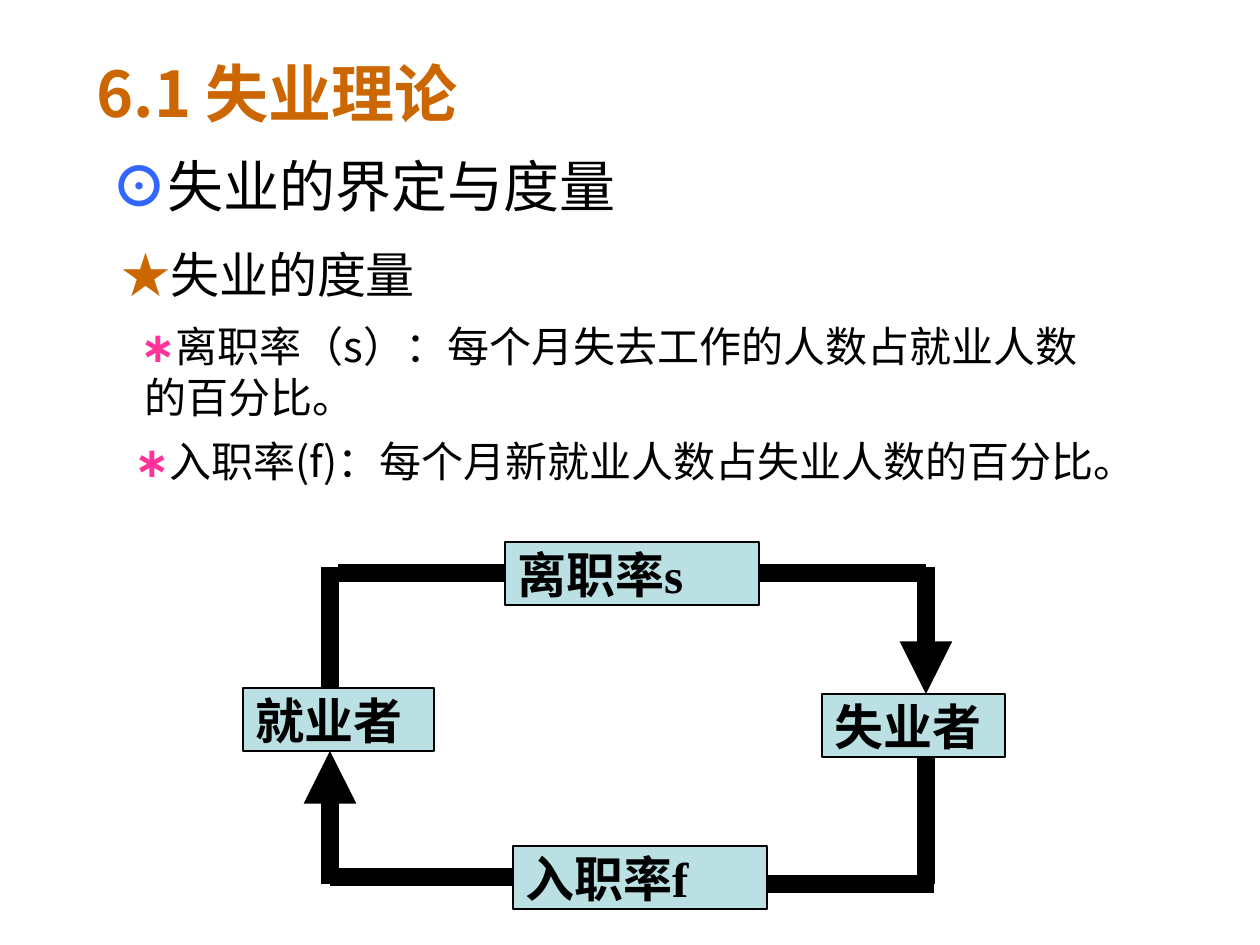
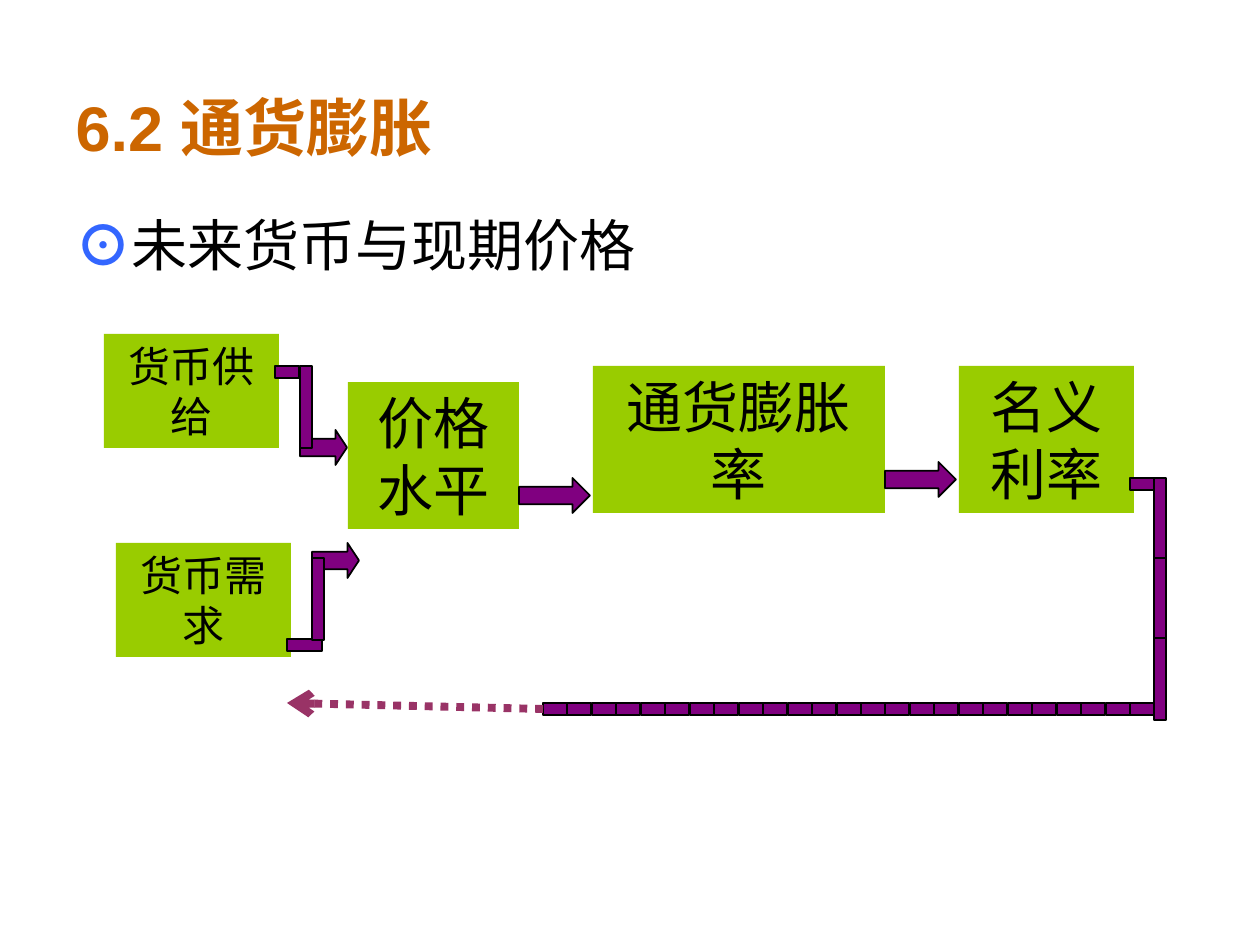
from lxml import etree
from pptx import Presentation, util as u
from pptx.dml.color import RGBColor
from pptx.enum import dml, shapes, text
from pptx.oxml import ns

PX_PER_INCH = 126
SANS, LATIN, SERIF = "Noto Sans CJK SC", "Arial", "Times New Roman"
BLACK, ORANGE, BLUE, PINK = "000000", "CC6600", "3366FF", "FF3399"
PALE_TEAL, LIME, PURPLE, PLUM = "BBE0E3", "99CC00", "800080", "993366"
HANG = 48
BAR = 12
BAR_LENGTH = 82
TITLE_FORMAT = dict(size=36, bold=True, color=ORANGE)
RECT = shapes.MSO_SHAPE.RECTANGLE
ARROW = shapes.MSO_SHAPE.RIGHT_ARROW


def px(length):
    return u.Emu(round(length * 914400 / PX_PER_INCH))


def rgb(value):
    return RGBColor.from_string(value)


def format_run(run, size, color, name=SANS, bold=False):
    values = dict(size=u.Pt(size), name=name, bold=bold)
    for attribute, value in values.items():
        setattr(run.font, attribute, value)
    run.font.color.rgb = rgb(color)


def add_run(paragraph, wording, **run_format):
    run = paragraph.add_run()
    run.text = wording
    format_run(run, **run_format)


def place(shape, left, top, width, height):
    for side, length in dict(left=left, top=top, width=width, height=height).items():
        setattr(shape, side, px(length))


def add_titled_slide(deck, wording, box, font):
    slide = deck.slides.add_slide(deck.slide_layouts[5])
    title = slide.shapes.title
    place(title, *box)
    title.text_frame.auto_size = text.MSO_AUTO_SIZE.NONE
    title.text_frame.vertical_anchor = text.MSO_ANCHOR.MIDDLE
    paragraph = title.text_frame.paragraphs[0]
    paragraph.alignment = text.PP_ALIGN.LEFT
    add_run(paragraph, wording, name=font, **TITLE_FORMAT)
    return slide


def add_outline(slide, box, points):
    """Each point is (first-line indent, space before, size, mark, mark colour, bold mark, wording)."""
    frame = slide.shapes.add_textbox(*map(px, box)).text_frame
    frame.word_wrap = True
    for number, (indent, before, size, mark, color, bold, wording) in enumerate(points):
        paragraph = frame.add_paragraph() if number else frame.paragraphs[0]
        paragraph.space_before = u.Pt(before)
        properties = paragraph._p.get_or_add_pPr()
        properties.set("marL", str(px(HANG)))
        properties.set("indent", str(px(indent)))
        add_run(paragraph, mark, size=size, color=color, bold=bold)
        add_run(paragraph, wording, size=size, color=BLACK)


def add_block(slide, kind, box, fill, outline=BLACK):
    block = slide.shapes.add_shape(kind, *map(px, box))
    block.shadow.inherit = False
    block.fill.solid()
    block.fill.fore_color.rgb = rgb(fill)
    if outline:
        block.line.color.rgb = rgb(outline)
        block.line.width = u.Pt(1)
    else:
        block.line.fill.background()
    return block


def add_label(block, wording, size, anchor, alignment, bold=False):
    frame = block.text_frame
    frame.word_wrap = True
    frame.vertical_anchor = anchor
    paragraph = frame.paragraphs[0]
    paragraph.alignment = alignment
    add_run(paragraph, wording, size=size, color=BLACK, name=SERIF, bold=bold)


def add_line(slide, start, end, color, width, head=None, dash=None):
    line = slide.shapes.add_connector(shapes.MSO_CONNECTOR.STRAIGHT, *map(px, start + end))
    line.line.color.rgb = rgb(color)
    line.line.width = u.Pt(width)
    if dash:
        line.line.dash_style = dash
    if head:
        etree.SubElement(line.line._get_or_add_ln(), ns.qn("a:tailEnd"), type=head)
    etree.SubElement(line._element.spPr, ns.qn("a:effectLst"))


def add_bar(slide, left, top, width=24, height=BAR):
    add_block(slide, RECT, (left, top, width, height), PURPLE)


def add_upright(slide, left, top):
    add_bar(slide, left, top, BAR, BAR_LENGTH)


def add_flow_arrow(slide, left, top, width, head_ratio):
    arrow = add_block(slide, ARROW, (left, top, width, 35), PURPLE)
    arrow.adjustments[1] = head_ratio


def build_unemployment(deck):
    slide = add_titled_slide(deck, "6.1 失业理论", (84, 45, 1008, 95), SANS)
    add_outline(slide, (84, 145, 1040, 745), [
        (-33, 0, 32, "⊙", BLUE, True, "失业的界定与度量"),
        (-23, 15, 28, "★", ORANGE, False, "失业的度量"),
        (-4, 10, 24, "∗", PINK, True, "离职率（s）：每个月失去工作的人数占就业人数的百分比。"),
        (-10, 8, 24, "∗", PINK, True, "入职率(f)：每个月新就业人数占失业人数的百分比。"),
    ])
    for wording, left, top, width in [
        ("就业者", 243, 688, 191),
        ("失业者", 822, 694, 183),
        ("离职率s", 505, 542, 254),
        ("入职率f", 513, 846, 254),
    ]:
        state = add_block(slide, RECT, (left, top, width, 63), PALE_TEAL)
        add_label(state, wording, 28, text.MSO_ANCHOR.MIDDLE, text.PP_ALIGN.LEFT, bold=True)

    employed_x, unemployed_x = 330, 926
    for start, end, head in [
        ((513, 877), (employed_x, 877), None),
        ((unemployed_x + 8, 884), (767, 884), None),
        ((505, 573), (338, 573), None),
        ((unemployed_x, 573), (759, 573), None),
        ((employed_x, 567), (employed_x, 688), None),
        ((unemployed_x, 757), (unemployed_x, 884), None),
        ((unemployed_x, 567), (unemployed_x, 694), "triangle"),
        ((employed_x, 884), (employed_x, 751), "triangle"),
    ]:
        add_line(slide, start, end, BLACK, 10, head)


def build_inflation(deck):
    slide = add_titled_slide(deck, "6.2 通货膨胀", (63, 58, 1134, 137), LATIN)
    add_outline(slide, (63, 204, 1134, 624), [
        (-HANG, 0, 32, "⊙", BLUE, True, "未来货币与现期价格"),
    ])
    for wording, size, box in [
        ("货币供给", 24, (104, 334, 175, 114)),
        ("货币需求", 24, (116, 543, 175, 114)),
        ("价格水平", 32, (348, 382, 171, 147)),
        ("通货膨胀率", 32, (593, 366, 292, 147)),
        ("名义利率", 32, (959, 366, 175, 147)),
    ]:
        factor = add_block(slide, RECT, box, LIME, outline=None)
        add_label(factor, wording, size, text.MSO_ANCHOR.TOP, text.PP_ALIGN.CENTER)

    for left, top in [(312, 543), (300, 430)]:
        add_flow_arrow(slide, left, top, 47, 0.33)
    for left, top in [(885, 462), (519, 478)]:
        add_flow_arrow(slide, left, top, 71, 0.5)

    add_bar(slide, 287, 639, 35)
    add_upright(slide, 312, 558)
    add_upright(slide, 300, 366)
    add_bar(slide, 275, 366)

    trail_left, trail_right, trail_steps = 543, 1130, 24
    add_bar(slide, trail_right, 478)
    for step in range(3):
        add_upright(slide, 1154, 478 + 80 * step)
    for step in range(trail_steps + 1):
        offset = (trail_right - trail_left) * step / trail_steps
        add_bar(slide, trail_left + round(offset), 703)
    add_line(slide, (543, 709), (287, 703), PLUM, 4.5, "arrow",
             dml.MSO_LINE.ROUND_DOT)


def main():
    deck = Presentation()
    deck.slide_width, deck.slide_height = px(1260), px(945)
    build_unemployment(deck)
    build_inflation(deck)
    deck.save("out.pptx")


if __name__ == "__main__":
    main()
